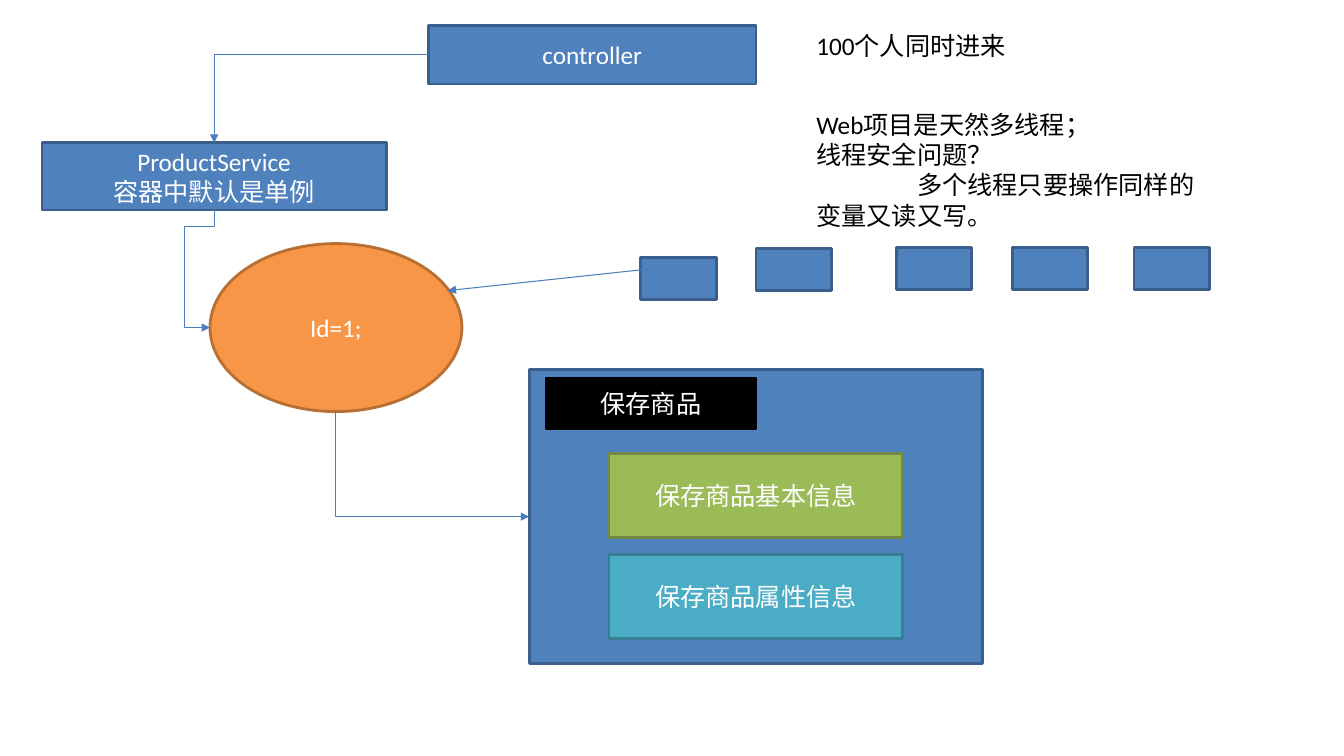
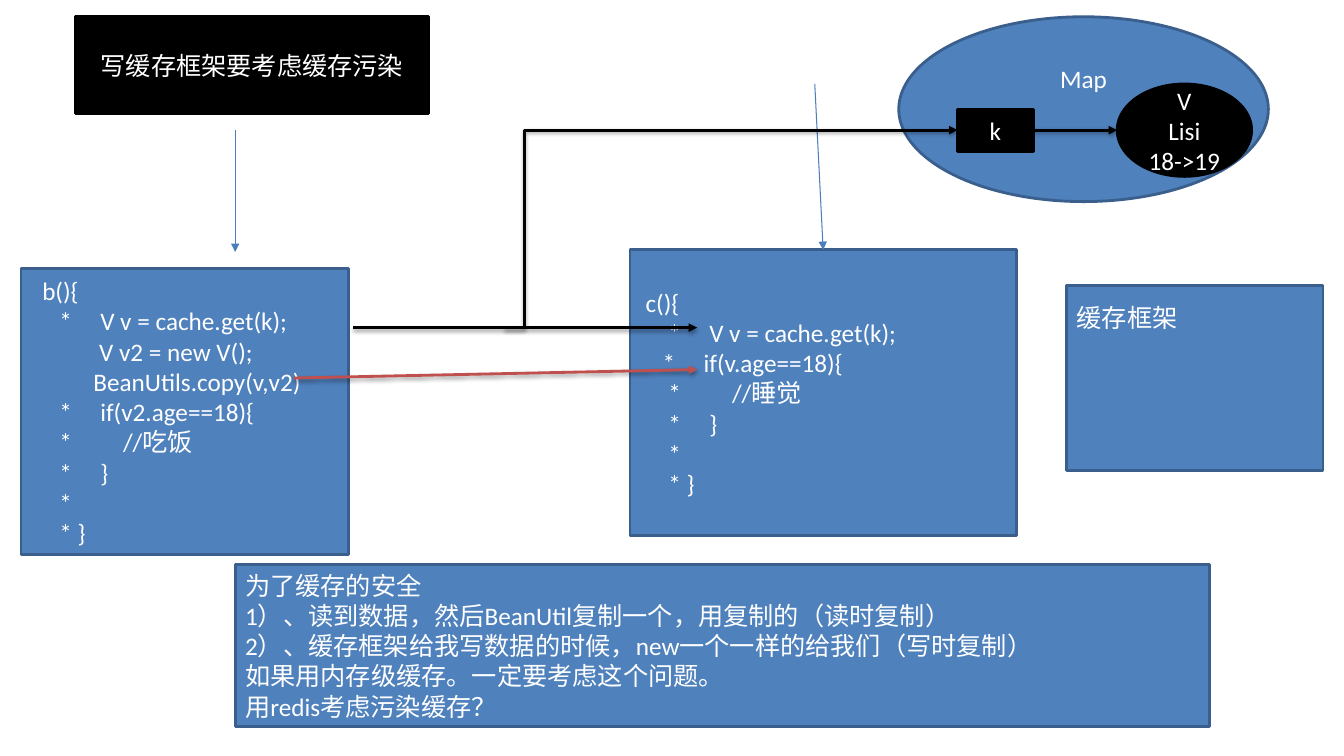
from math import cos, radians, sin

from lxml import etree
from pptx import Presentation
from pptx import util as u
from pptx.dml.color import RGBColor
from pptx.enum import shapes, text
from pptx.oxml.ns import qn

THEME = {
    "font": "Calibri", "size": 18, "white": "FFFFFF", "black": "000000",
    "border": 2, "thin": 0.75, "thick": 2,
    "fills": {
        "blue": ("4F81BD", "3A5F8C"), "orange": ("F79646", "B76F34"),
        "green": ("9BBB59", "738A42"), "teal": ("4BACC6", "377F92"),
        "black": ("000000", "000000"),
    },
    "lines": {"blue": "4B7EBC", "black": "000000", "red": "C0504D"},
}
CELLS_PER_INCH = 12
COLS, ROWS = 160, 90
LINE = 3.6
RECT, OVAL = shapes.MSO_SHAPE.RECTANGLE, shapes.MSO_SHAPE.OVAL
LEFT, CENTER = text.PP_ALIGN.LEFT, text.PP_ALIGN.CENTER

EAT_CODE = """\
  b(){
     *     V v = cache.get(k);
            V v2 = new V();
           BeanUtils.copy(v,v2)
     *     if(v2.age==18){
     *         //吃饭
     *     }
     *
     * }"""
SLEEP_CODE = """\
 c(){
     *     V v = cache.get(k);
    *     if(v.age==18){
     *         //睡觉
     *     }
     *
     * }"""
SAFETY = """\
为了缓存的安全
1）、读到数据，然后BeanUtil复制一个，用复制的（读时复制）
2）、缓存框架给我写数据的时候，new一个一样的给我们（写时复制）
如果用内存级缓存。一定要考虑这个问题。
用redis考虑污染缓存？"""

REQUESTS = [(76.3, 30.7), (90, 29.6), (106.7, 29.5), (120.5, 29.5), (135, 29.5)]

SLIDES = [
    {
        "boxes": [
            (RECT, "blue", (63, 44, 54, 35), "", {}),
            (RECT, "blue", (5, 17, 41, 8), "ProductService\n容器中默认是单例", {}),
            (OVAL, "orange", (25, 29, 30, 20), "Id=1;", {}),
            (RECT, "green", (72.5, 54, 35, 10), "保存商品基本信息", {}),
            (RECT, "teal", (72.5, 66, 35, 10), "保存商品属性信息", {}),
            (RECT, "blue", (51, 3, 39, 7), "controller", {}),
            (RECT, "black", (65, 45, 25, 6), "保存商品", {}),
            *[(RECT, "blue", (x, y, 9, 5), "", {}) for x, y in REQUESTS],
        ],
        "notes": [
            ((96, 3, 33.5, 5), "100个人同时进来", {}),
            ((96, 12.4, 48, 15.7),
             "Web项目是天然多线程；\n线程安全问题？\n多个线程只要操作同样的变量又读又写。",
             {"indents": {2: 12}}),
        ],
        "arrows": [
            ("blue", (25.5, 25), (25, 39),
             {"bend": "bentConnector4", "rot": 90, "adj": (0.143, 7)}),
            ("blue", (51, 6.5), (25.5, 17), {"bend": "bentConnector2", "rot": 180}),
            ("blue", (40, 49), (63, 61.5), {"bend": "bentConnector2", "rot": 270}),
            ("blue", (77.5, 32), (53.3, 34.6), {}),
        ],
    },
    {
        "boxes": [
            (OVAL, "blue", (107, 2, 44, 22), "Map", {"lines_below": 2}),
            (RECT, "black", (114, 13, 9, 5), "k", {}),
            (OVAL, "black", (133, 10, 16, 11), "V\nLisi\n18->19", {}),
            (RECT, "blue", (2.5, 32, 39, 34), EAT_CODE, {"align": LEFT}),
            (RECT, "blue", (75, 29.75, 46, 34), SLEEP_CODE, {"align": LEFT}),
            (RECT, "black", (9, 2, 42, 11.5), "写缓存框架要考虑缓存污染", {}),
            (RECT, "blue", (28, 67.2, 116, 19.3), SAFETY, {"align": LEFT}),
            (RECT, "blue", (127, 34, 30.5, 22), "缓存框架",
             {"align": LEFT, "lines_below": 4}),
        ],
        "notes": [],
        "arrows": [
            ("black", (123, 15.5), (133, 15.5), {"strong": True}),
            ("blue", (28, 15.5), (28, 30), {}),
            ("blue", (97, 10), (98, 29.75), {}),
            ("black", (42, 39), (83, 39), {"strong": True}),
            ("red", (35, 45), (83, 44), {"strong": True}),
            ("black", (60, 39), (114, 15.5),
             {"strong": True, "bend": "bentConnector3", "adj": (0.045,)}),
        ],
    },
]


def cells(n):
    return u.Inches(n / CELLS_PER_INCH)


def rgb(value):
    return RGBColor.from_string(value)


def child(parent, tag, **attrs):
    el = etree.SubElement(parent, qn(tag))
    for key, value in attrs.items():
        el.set(key, str(value))
    return el


def put_text(sp, content, color="white", align=CENTER,
             anchor=text.MSO_ANCHOR.MIDDLE, lines_below=0, indents=None):
    tf = sp.text_frame
    tf.word_wrap = True
    tf.vertical_anchor = anchor
    tf.margin_bottom = u.Inches(0.05) + cells(LINE * lines_below)
    for i, line in enumerate(content.split("\n")):
        p = tf.paragraphs[0] if i == 0 else tf.add_paragraph()
        p.alignment = align
        if indents and i in indents:
            p._p.get_or_add_pPr().set("indent", str(cells(indents[i])))
        r = p.add_run()
        r.text = line
        r.font.name = THEME["font"]
        r.font.size = u.Pt(THEME["size"])
        r.font.color.rgb = rgb(THEME[color])


def add_box(s, kind, style, place, content, fmt):
    fill, border = THEME["fills"][style]
    sp = s.shapes.add_shape(kind, *map(cells, place))
    sp.shadow.inherit = False
    sp.fill.solid()
    sp.fill.fore_color.rgb = rgb(fill)
    sp.line.color.rgb = rgb(border)
    sp.line.width = u.Pt(THEME["border"])
    if content:
        put_text(sp, content, **fmt)


def add_note(s, place, content, fmt):
    sp = s.shapes.add_textbox(*map(cells, place))
    put_text(sp, content, color="black", align=LEFT,
             anchor=text.MSO_ANCHOR.TOP, **fmt)


def turn_back(point, mid, rot):
    dx, dy = point[0] - mid[0], point[1] - mid[1]
    c, n = cos(radians(rot)), sin(radians(rot))
    return mid[0] + dx * c + dy * n, mid[1] - dx * n + dy * c


def add_arrow(s, color, start, end, bend=None, rot=0, adj=(), strong=False):
    mid = [(a + b) / 2 for a, b in zip(start, end)]
    ends = turn_back(start, mid, rot) + turn_back(end, mid, rot)
    kind = shapes.MSO_CONNECTOR.ELBOW if bend else shapes.MSO_CONNECTOR.STRAIGHT
    cx = s.shapes.add_connector(kind, *map(cells, ends))
    cx.line.color.rgb = rgb(THEME["lines"][color])
    cx.line.width = u.Pt(THEME["thick" if strong else "thin"])
    child(cx.line._get_or_add_ln(), "a:tailEnd", type="triangle")
    props = cx._element.spPr
    if rot:
        props.find(qn("a:xfrm")).set("rot", str(rot * 60000))
    if bend:
        geom = props.find(qn("a:prstGeom"))
        geom.set("prst", bend)
        guides = geom.find(qn("a:avLst"))
        if guides is None:
            guides = child(geom, "a:avLst")
        for i, share in enumerate(adj, 1):
            name = "adj1" if len(adj) == 1 else f"adj{i}"
            child(guides, "a:gd", name=name, fmla=f"val {round(share * 100000)}")
    effects = child(props, "a:effectLst")
    if strong:
        shadow = child(effects, "a:outerShdw", blurRad=u.Pt(3.1), dist=u.Pt(1.6),
                       dir=90 * 60000, rotWithShape=0)
        tint = child(shadow, "a:srgbClr", val=THEME["black"])
        child(tint, "a:alpha", val=38000)


def main():
    prs = Presentation()
    prs.slide_width, prs.slide_height = cells(COLS), cells(ROWS)
    for content in SLIDES:
        s = prs.slides.add_slide(prs.slide_layouts[6])
        for box in content["boxes"]:
            add_box(s, *box)
        for note in content["notes"]:
            add_note(s, *note)
        for color, start, end, fmt in content["arrows"]:
            add_arrow(s, color, start, end, **fmt)
    prs.save("out.pptx")


if __name__ == "__main__":
    main()
